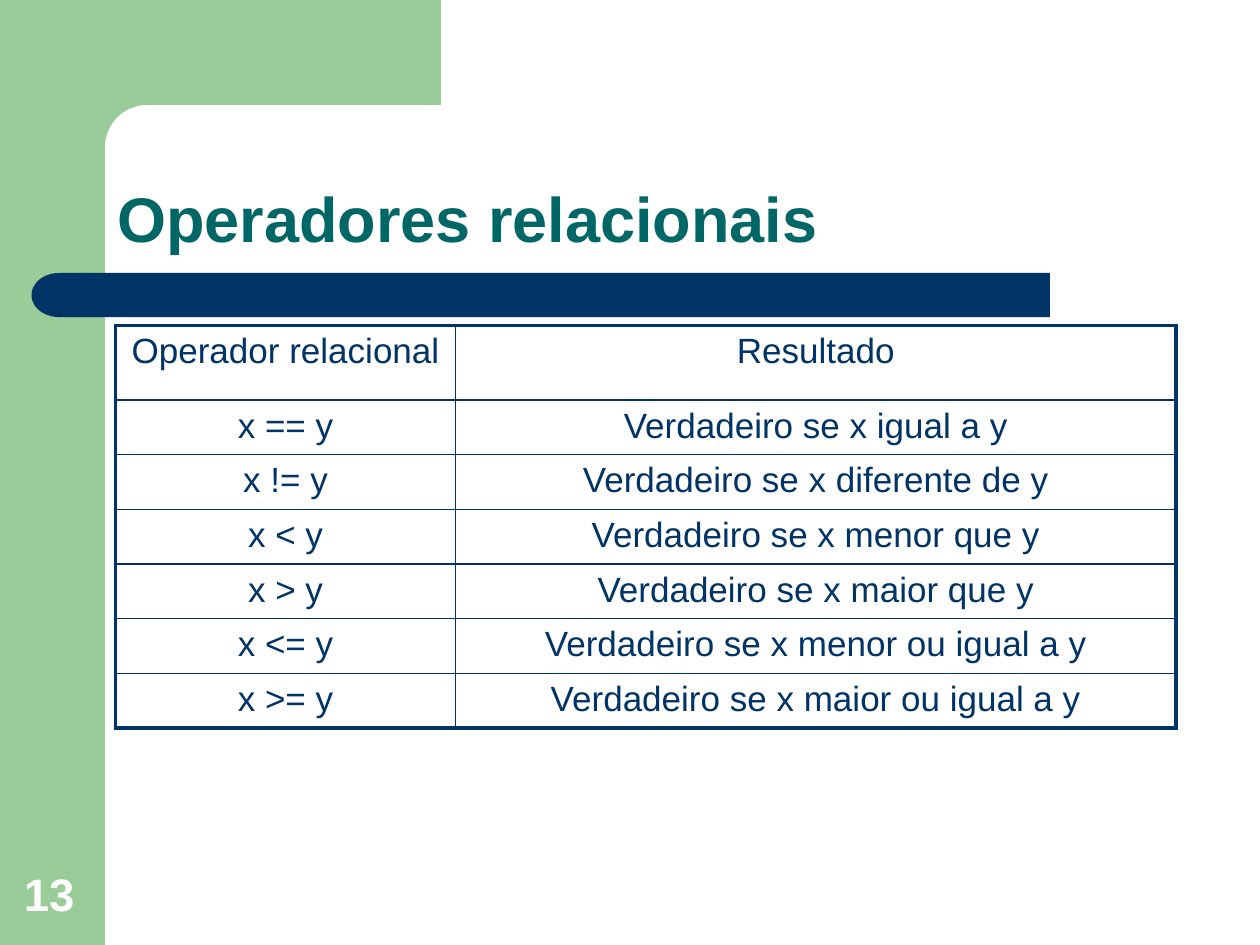
import math
import pptx
import pptx.util
import pptx.dml.color
import pptx.enum.shapes
import pptx.enum.text
import pptx.oxml
import pptx.oxml.ns

RGB = pptx.dml.color.RGBColor
GREEN = RGB(0x99, 0xCC, 0x99)
NAVY = RGB(0x00, 0x33, 0x66)
TEAL = RGB(0x00, 0x66, 0x66)
WHITE = RGB(0xFF, 0xFF, 0xFF)
KIND = pptx.enum.shapes.MSO_SHAPE
ALIGN = pptx.enum.text.PP_ALIGN
BOTTOM = pptx.enum.text.MSO_ANCHOR.BOTTOM
WIDE, HIGH = 10, 7.5
COLS = 12
UNIT = WIDE / COLS
ROWS = HIGH / UNIT
THICK, THIN = 2.25, 1

DATA = [
    ("Operador relacional", "Resultado"),
    ("x == y", "Verdadeiro se x igual a y"),
    ("x != y", "Verdadeiro se x diferente de y"),
    ("x < y", "Verdadeiro se x menor que y"),
    ("x > y", "Verdadeiro se x maior que y"),
    ("x <= y", "Verdadeiro se x menor ou igual a y"),
    ("x >= y", "Verdadeiro se x maior ou igual a y"),
]


def grid(*cells):
    return [pptx.util.Inches(cell * UNIT) for cell in cells]


def paint(shape, color):
    shape.shadow.inherit = False
    shape.fill.solid()
    shape.fill.fore_color.rgb = color
    shape.line.fill.background()


def block(slide, kind, area, color):
    shape = slide.shapes.add_shape(kind, *grid(*area))
    paint(shape, color)
    return shape


def corner(slide):
    mid, size = 1.4, 0.4
    turns = [math.radians(270 - 90 * step / 12) for step in range(13)]
    curve = [(mid + size * math.cos(t), mid + size * math.sin(t)) for t in turns]
    points = [(4.2, 0), (4.2, 1), *curve, (1, 1.54), (0.6, 1.54), (0.6, 0)]
    spots = [grid(*point) for point in points]
    form = slide.shapes.build_freeform(*spots[0])
    form.add_line_segments(spots[1:], close=True)
    paint(form.convert_to_shape(), GREEN)


def write(frame, text, size=20, color=NAVY, bold=False, align=ALIGN.LEFT, space=1):
    para = frame.paragraphs[0]
    para.alignment = align
    para.line_spacing = space
    run = para.add_run()
    run.text = text
    font = run.font
    font.name, font.size, font.bold = "Arial", pptx.util.Pt(size), bold
    font.color.rgb = color


def label(slide, area, text, **style):
    frame = slide.shapes.add_textbox(*grid(*area)).text_frame
    frame.word_wrap = True
    frame.vertical_anchor = BOTTOM
    write(frame, text, **style)


def border(cell, sides):
    props = cell._tc.get_or_add_tcPr()
    for spot, (side, width) in enumerate(sides.items()):
        line = pptx.oxml.parse_xml(
            f'<a:ln{side} {pptx.oxml.ns.nsdecls("a")} w="{pptx.util.Pt(width)}">'
            f'<a:solidFill><a:srgbClr val="{NAVY}"/></a:solidFill></a:ln{side}>'
        )
        props.insert(spot, line)


def chart(slide, left, top, widths, heights):
    area = grid(left, top, sum(widths), sum(heights))
    table = slide.shapes.add_table(len(heights), len(widths), *area).table
    for col, width in zip(table.columns, grid(*widths)):
        col.width = width
    for row, height in zip(table.rows, grid(*heights)):
        row.height = height
    last_row, last_col = len(heights) - 1, len(widths) - 1
    for r, texts in enumerate(DATA):
        for c, text in enumerate(texts):
            cell = table.cell(r, c)
            cell.fill.background()
            write(cell.text_frame, text, align=ALIGN.CENTER)
            edges = {"L": c == 0, "R": c == last_col, "T": r == 0, "B": r == last_row}
            border(cell, {side: THICK if edge else THIN for side, edge in edges.items()})


def main():
    deck = pptx.Presentation()
    deck.slide_width = pptx.util.Inches(WIDE)
    deck.slide_height = pptx.util.Inches(HIGH)
    slide = deck.slides.add_slide(deck.slide_layouts[6])
    block(slide, KIND.RECTANGLE, (0, 0, 1, ROWS), GREEN)
    corner(slide)
    block(slide, KIND.RECTANGLE, (0.8, 2.6, 9.2, 0.42), NAVY)
    block(slide, KIND.FLOWCHART_DELAY, (0.3, 2.6, 0.52, 0.42), NAVY).rotation = 180
    label(slide, (0.11, 8.2, 0.77, 0.63), "13", size=26, color=WHITE, bold=True)
    label(slide, (1, 1, 10.4, 1.5), "Operadores relacionais",
          size=36, color=TEAL, bold=True, space=0.9)
    chart(slide, 1.1, 3.1, [3.24, 6.86], [0.71] + [0.49] * (len(DATA) - 1))
    deck.save("out.pptx")


if __name__ == "__main__":
    main()
